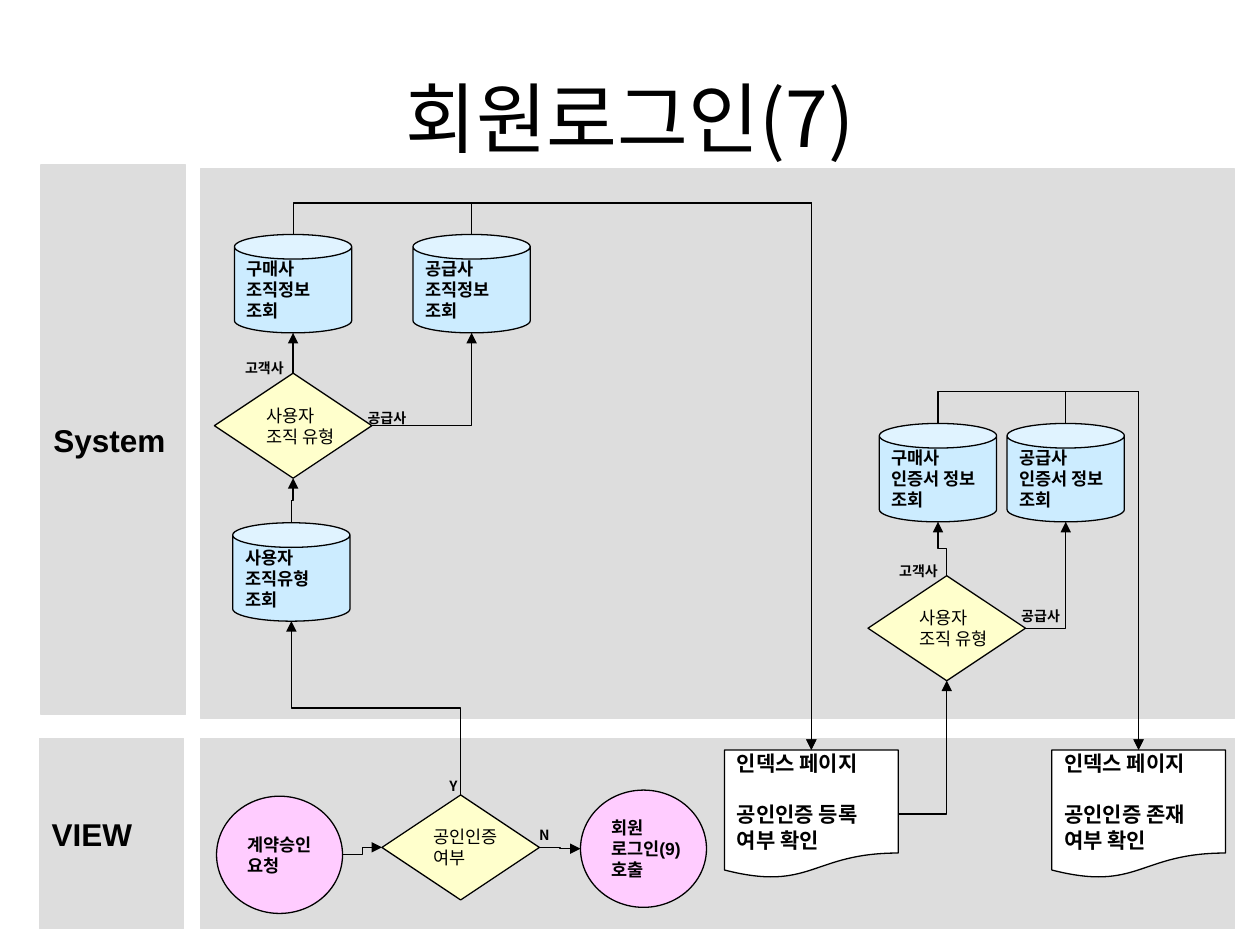
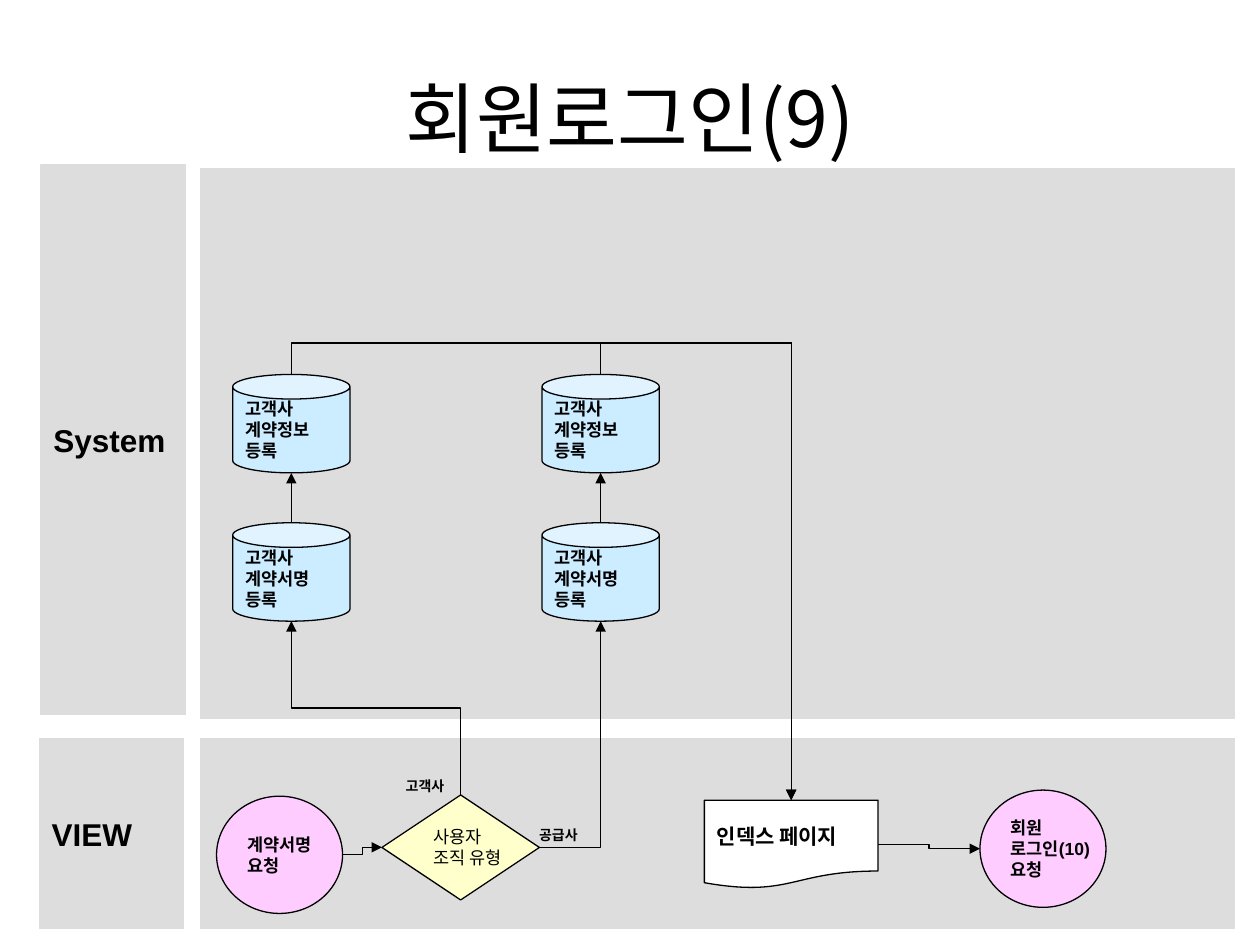
from dataclasses import dataclass
from enum import Enum
from typing import NamedTuple

from lxml.etree import SubElement
from pptx import Presentation
from pptx.dml.color import RGBColor
from pptx.enum.shapes import MSO_CONNECTOR, MSO_SHAPE
from pptx.enum.text import MSO_ANCHOR, MSO_AUTO_SIZE, PP_ALIGN
from pptx.oxml.ns import qn
from pptx.shapes.autoshape import Shape
from pptx.slide import Slide
from pptx.text.text import TextFrame
from pptx.util import Pt


# Colours, fonts and type sizes
@dataclass(frozen=True)
class Theme:
    ink: RGBColor = RGBColor(0x00, 0x00, 0x00)
    lane: RGBColor = RGBColor(0xDD, 0xDD, 0xDD)
    terminal: RGBColor = RGBColor(0xFF, 0xCC, 0xFF)
    decision: RGBColor = RGBColor(0xFF, 0xFF, 0xCC)
    database: RGBColor = RGBColor(0xCC, 0xEC, 0xFF)
    page: RGBColor = RGBColor(0xFF, 0xFF, 0xFF)
    latin: str = "Arial"
    hangul: str = "Noto Sans CJK KR"
    title_size: float = 44
    lane_size: float = 18
    page_size: float = 12
    step_size: float = 10
    branch_size: float = 8
    line_pitch: float = 1.2
    outline: float = 0.75


THEME = Theme()
OVERHEAD = 18  # height of a line that leaves and enters from above


class Look(NamedTuple):
    preset: MSO_SHAPE
    fill: RGBColor
    width: float
    height: float
    size: float = THEME.step_size
    font: str = THEME.latin
    bold: bool = True


class Kind(Enum):
    TERMINAL = Look(MSO_SHAPE.OVAL, THEME.terminal, 72, 67)
    DECISION = Look(MSO_SHAPE.DIAMOND, THEME.decision, 90, 60,
                    font=THEME.hangul, bold=False)
    DATABASE = Look(MSO_SHAPE.CAN, THEME.database, 67, 56.25)
    PAGE = Look(MSO_SHAPE.FLOWCHART_DOCUMENT, THEME.page, 99.25, 73.5,
                size=THEME.page_size)
    SHORT_PAGE = Look(MSO_SHAPE.FLOWCHART_DOCUMENT, THEME.page, 99.25, 50.5,
                      size=THEME.page_size)


class Lane(NamedTuple):
    left: float
    top: float
    width: float
    height: float
    name: str = ""


class Step(NamedTuple):
    kind: Kind
    left: float
    top: float
    text: str
    gap: float = 0  # space between the first line and the rest


class Link(NamedTuple):
    start: str
    start_side: str
    end: str
    end_side: str


class Branch(NamedTuple):
    left: float
    top: float
    text: str
    width: float = 39


@dataclass(frozen=True)
class Flow:
    title: str
    steps: dict[str, Step]
    links: list[Link]
    branches: list[Branch]


LANES = [
    Lane(114.5, 422, 591, 108.75),
    Lane(114.5, 96.5, 591, 314),
    Lane(23.5, 94.25, 82.5, 314, "System"),
    Lane(22.5, 422, 82.5, 108.75, "VIEW"),
]


# Text
def format_text(frame: TextFrame, size: float, font: str, bold: bool) -> None:
    for paragraph in frame.paragraphs:
        for run in paragraph.runs:
            run.font.size = Pt(size)
            run.font.bold = bold
            run.font.color.rgb = THEME.ink
            run.font.name = font
            SubElement(run.font._element, qn("a:ea"), typeface=THEME.hangul)


def write(frame: TextFrame, text: str, size: float, font: str, bold: bool,
          gap: float = 0) -> None:
    frame.text = text
    frame.word_wrap = False
    for index, paragraph in enumerate(frame.paragraphs):
        paragraph.alignment = PP_ALIGN.LEFT
        paragraph.line_spacing = Pt(size * THEME.line_pitch)
        if index == 1 and gap:
            paragraph.space_before = Pt(gap)
    format_text(frame, size, font, bold)


# Parts of a flow chart
def draw_box(slide: Slide, preset: MSO_SHAPE, left: float, top: float,
             width: float, height: float, fill: RGBColor,
             line: RGBColor) -> Shape:
    box = slide.shapes.add_shape(preset, Pt(left), Pt(top), Pt(width), Pt(height))
    box.shadow.inherit = False
    box.fill.solid()
    box.fill.fore_color.rgb = fill
    box.line.color.rgb = line
    box.line.width = Pt(THEME.outline)
    box.text_frame.vertical_anchor = MSO_ANCHOR.MIDDLE
    return box


def draw_lane(slide: Slide, lane: Lane) -> None:
    band = draw_box(slide, MSO_SHAPE.RECTANGLE, lane.left, lane.top,
                    lane.width, lane.height, THEME.lane, THEME.lane)
    if lane.name:
        write(band.text_frame, lane.name, THEME.lane_size, THEME.latin, True)


def draw_step(slide: Slide, step: Step) -> None:
    look = step.kind.value
    box = draw_box(slide, look.preset, step.left, step.top, look.width,
                   look.height, look.fill, THEME.ink)
    write(box.text_frame, step.text, look.size, look.font, look.bold, step.gap)


def draw_branch(slide: Slide, branch: Branch) -> None:
    label = slide.shapes.add_textbox(Pt(branch.left), Pt(branch.top),
                                     Pt(branch.width), Pt(17.25))
    write(label.text_frame, branch.text, THEME.branch_size, THEME.hangul, True)
    label.text_frame.auto_size = MSO_AUTO_SIZE.SHAPE_TO_FIT_TEXT


def side_point(step: Step, side: str) -> tuple[float, float]:
    look = step.kind.value
    across, down = {"left": (0, 0.5), "right": (1, 0.5),
                    "top": (0.5, 0), "bottom": (0.5, 1)}[side]
    return step.left + across * look.width, step.top + down * look.height


def draw_link(slide: Slide, link: Link, steps: dict[str, Step]) -> None:
    x1, y1 = side_point(steps[link.start], link.start_side)
    x2, y2 = side_point(steps[link.end], link.end_side)
    upward = link.start_side == "top"
    corner = not upward and link.end_side == "bottom"
    overhead = upward and link.end_side == "top"
    rise = y1 - y2
    if upward:
        # Lay the elbow on its side about its centre, then turn it upright
        middle_x, middle_y, run = (x1 + x2) / 2, (y1 + y2) / 2, x2 - x1
        x1, x2 = middle_x - rise / 2, middle_x + rise / 2
        y1, y2 = middle_y - run / 2, middle_y + run / 2
    arrow = slide.shapes.add_connector(MSO_CONNECTOR.ELBOW,
                                       Pt(x1), Pt(y1), Pt(x2), Pt(y2))
    arrow.line.color.rgb = THEME.ink
    arrow.line.width = Pt(THEME.outline)
    properties = arrow._element.spPr
    SubElement(arrow.line._get_or_add_ln(), qn("a:tailEnd"), type="triangle")
    SubElement(properties, qn("a:effectLst"))
    if upward:
        properties.find(qn("a:xfrm")).set("rot", str(270 * 60000))
    geometry = properties.find(qn("a:prstGeom"))
    if corner:
        geometry.set("prst", "bentConnector2")
    if overhead:
        bend = round(OVERHEAD / rise * 100000)
        SubElement(geometry.find(qn("a:avLst")), qn("a:gd"),
                   name="adj1", fmla=f"val {bend}")


def draw_title(slide: Slide, text: str) -> None:
    title = slide.shapes.title
    title.left, title.top, title.width, title.height = Pt(36), Pt(21.5), Pt(648), Pt(90)
    frame = title.text_frame
    frame.text = text
    frame.auto_size = MSO_AUTO_SIZE.NONE
    frame.vertical_anchor = MSO_ANCHOR.MIDDLE
    frame.paragraphs[0].alignment = PP_ALIGN.CENTER
    format_text(frame, THEME.title_size, THEME.hangul, False)


def draw_flow(slide: Slide, flow: Flow) -> None:
    draw_title(slide, flow.title)
    for lane in LANES:
        draw_lane(slide, lane)
    for step in flow.steps.values():
        draw_step(slide, step)
    for link in flow.links:
        draw_link(slide, link, flow.steps)
    for branch in flow.branches:
        draw_branch(slide, branch)


# Login by organisation type, then certificate lookup
LOGIN = Flow(
    "회원로그인(7)",
    {
        "request": Step(Kind.TERMINAL, 123.75, 455, "계약승인\n요청"),
        "certified": Step(Kind.DECISION, 218.25, 454.25, "공인인증\n여부"),
        "login": Step(Kind.TERMINAL, 331.75, 451.5, "회원\n로그인(9)\n호출"),
        "user type": Step(Kind.DATABASE, 133, 298.75, "사용자\n조직유형\n조회"),
        "org type": Step(Kind.DECISION, 122.5, 213.25, "사용자\n조직 유형"),
        "buyer org": Step(Kind.DATABASE, 134, 134, "구매사\n조직정보\n조회"),
        "supplier org": Step(Kind.DATABASE, 236, 134, "공급사\n조직정보\n조회"),
        "register": Step(Kind.PAGE, 414, 428.5,
                         "인덱스 페이지\n공인인증 등록\n여부 확인", 15),
        "cert type": Step(Kind.DECISION, 496, 329, "사용자\n조직 유형"),
        "buyer cert": Step(Kind.DATABASE, 502.5, 242, "구매사\n인증서 정보\n조회"),
        "supplier cert": Step(Kind.DATABASE, 575.5, 242, "공급사\n인증서 정보\n조회"),
        "exists": Step(Kind.PAGE, 601, 428.5,
                       "인덱스 페이지\n공인인증 존재\n여부 확인", 15),
    },
    [
        Link("request", "right", "certified", "left"),
        Link("certified", "right", "login", "left"),
        Link("certified", "top", "user type", "bottom"),
        Link("user type", "top", "org type", "bottom"),
        Link("org type", "top", "buyer org", "bottom"),
        Link("org type", "right", "supplier org", "bottom"),
        Link("buyer org", "top", "register", "top"),
        Link("supplier org", "top", "register", "top"),
        Link("register", "right", "cert type", "bottom"),
        Link("cert type", "top", "buyer cert", "bottom"),
        Link("cert type", "right", "supplier cert", "bottom"),
        Link("buyer cert", "top", "exists", "top"),
        Link("supplier cert", "top", "exists", "top"),
    ],
    [
        Branch(133, 202, "고객사"),
        Branch(203, 230.5, "공급사"),
        Branch(249.75, 440.5, "Y", 19.5),
        Branch(301, 468.5, "N", 20.5),
        Branch(506.75, 317.75, "고객사"),
        Branch(576.5, 343.5, "공급사"),
    ],
)

# Contract signing by organisation type
SIGNING = Flow(
    "회원로그인(9)",
    {
        "request": Step(Kind.TERMINAL, 123.75, 455, "계약서명\n요청"),
        "org type": Step(Kind.DECISION, 218.25, 454.25, "사용자\n조직 유형"),
        "buyer sign": Step(Kind.DATABASE, 133, 298.75, "고객사\n계약서명\n등록"),
        "buyer contract": Step(Kind.DATABASE, 133, 214, "고객사\n계약정보\n등록"),
        "supplier sign": Step(Kind.DATABASE, 309.75, 298.75, "고객사\n계약서명\n등록"),
        "supplier contract": Step(Kind.DATABASE, 309.75, 214, "고객사\n계약정보\n등록"),
        "index": Step(Kind.SHORT_PAGE, 402.5, 457.25, "인덱스 페이지"),
        "login": Step(Kind.TERMINAL, 560, 451.5, "회원\n로그인(10)\n요청"),
    },
    [
        Link("request", "right", "org type", "left"),
        Link("org type", "top", "buyer sign", "bottom"),
        Link("org type", "right", "supplier sign", "bottom"),
        Link("buyer sign", "top", "buyer contract", "bottom"),
        Link("supplier sign", "top", "supplier contract", "bottom"),
        Link("buyer contract", "top", "index", "top"),
        Link("supplier contract", "top", "index", "top"),
        Link("index", "right", "login", "left"),
    ],
    [Branch(224.75, 440.5, "고객사"), Branch(301, 468.5, "공급사")],
)


def main() -> None:
    deck = Presentation()
    deck.slide_width, deck.slide_height = Pt(720), Pt(540)
    title_only = deck.slide_layouts[5]
    for flow in (LOGIN, SIGNING):
        draw_flow(deck.slides.add_slide(title_only), flow)
    deck.save("out.pptx")


if __name__ == "__main__":
    main()
